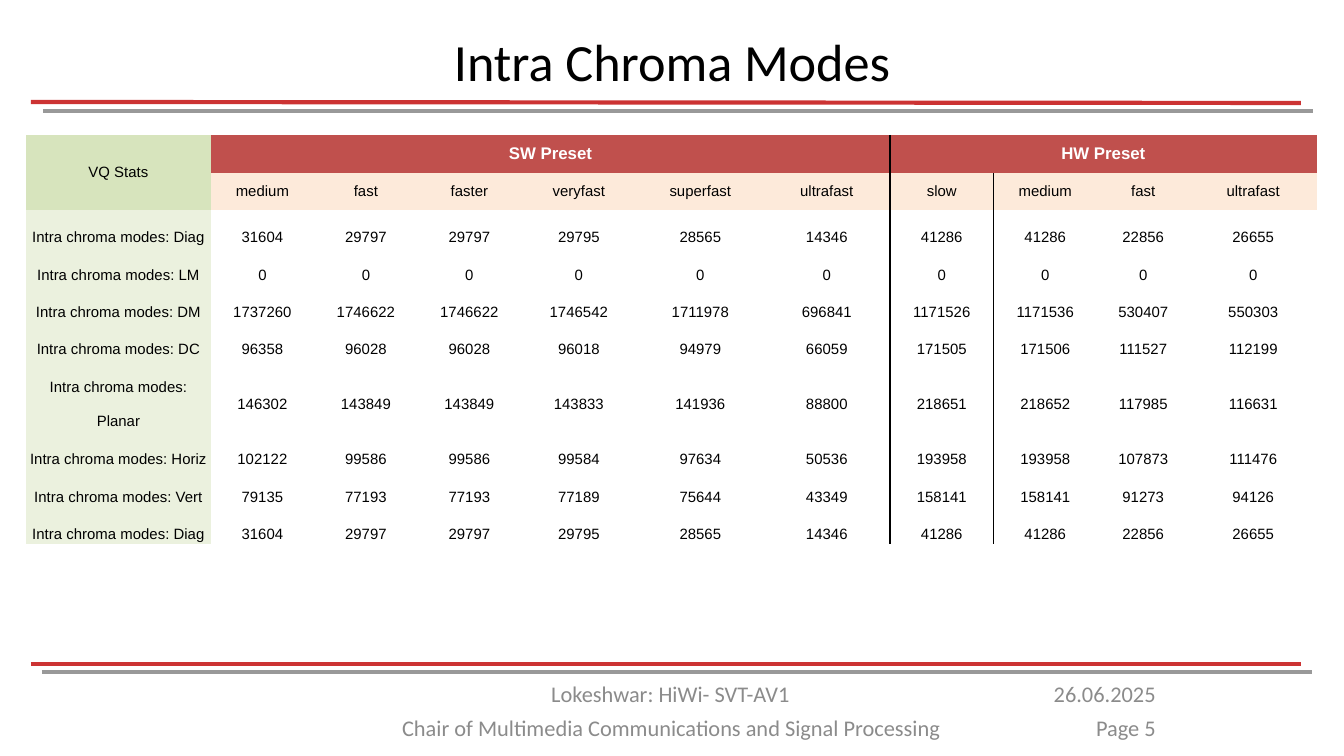
import dataclasses

import lxml.etree
import pptx
import pptx.dml.color
import pptx.enum.shapes
import pptx.enum.text
import pptx.oxml.ns
import pptx.util

EMU_PER_PX = 914400 / 134.4
ALIGN = pptx.enum.text.PP_ALIGN
ANCHOR = pptx.enum.text.MSO_ANCHOR
NO_STYLE_NO_GRID = "{2D5ABB26-0587-4C30-8999-92F81FD0307C}"


@dataclasses.dataclass(frozen=True)
class Theme:
    heading_font: str = "Calibri"
    table_font: str = "Arial"
    black: str = "000000"
    white: str = "FFFFFF"
    footer_gray: str = "8B8B8B"
    rule_red: str = "CC3333"
    rule_gray: str = "999999"
    corner_green: str = "D7E4BD"
    label_green: str = "EBF1DE"
    group_red: str = "C0504D"
    preset_peach: str = "FDEADA"
    title_size: int = 28
    footer_size: int = 12
    group_size: int = 9
    table_size: int = 8
    rule_width: float = 2.25
    group_border: float = 1
    slow_border: float = 0.5


THEME = Theme()

RULES = [
    (31, 102, 1301, 103, THEME.rule_red),
    (43, 111, 1313, 111, THEME.rule_gray),
    (31, 664, 1301, 664, THEME.rule_red),
    (42, 672, 1312, 672, THEME.rule_gray),
]
FOOTERS = [
    ("Chair of Multimedia Communications and Signal Processing", (349, 708, 645, 41), ALIGN.CENTER),
    ("Lokeshwar: HiWi- SVT-AV1", (348, 674, 645, 41), ALIGN.CENTER),
    ("26.06.2025", (1032, 674, 137, 41), ALIGN.RIGHT),
    ("Page 5", (1011, 708, 158, 67), ALIGN.RIGHT),
]
COLUMN_WIDTHS = [185, 103, 104, 103, 116, 127, 126, 104, 103, 93, 127]
ROW_HEIGHTS = [38, 37, 37, 38, 37, 37, 72, 38, 37, 37]
LAST_SW, FIRST_HW = 6, 7
PRESETS = ["medium", "fast", "faster", "veryfast", "superfast", "ultrafast",
           "slow", "medium", "fast", "ultrafast"]
DIAG = ("Diag", [31604, 29797, 29797, 29795, 28565, 14346, 41286, 41286, 22856, 26655])
MODES = [
    DIAG,
    ("LM", [0] * len(PRESETS)),
    ("DM", [1737260, 1746622, 1746622, 1746542, 1711978, 696841, 1171526, 1171536, 530407, 550303]),
    ("DC", [96358, 96028, 96028, 96018, 94979, 66059, 171505, 171506, 111527, 112199]),
    ("Planar", [146302, 143849, 143849, 143833, 141936, 88800, 218651, 218652, 117985, 116631]),
    ("Horiz", [102122, 99586, 99586, 99584, 97634, 50536, 193958, 193958, 107873, 111476]),
    ("Vert", [79135, 77193, 77193, 77189, 75644, 43349, 158141, 158141, 91273, 94126]),
    DIAG,
]


def px(length):
    """Turn whole pixels into EMU."""
    return pptx.util.Emu(round(length * EMU_PER_PX))


def rgb(code):
    """Return the colour for a hex code."""
    return pptx.dml.color.RGBColor.from_string(code)


def write_text(frame, text, *, font, size, color, bold=False, align=ALIGN.CENTER, spacing=None):
    """Write one formatted paragraph into a text frame."""
    paragraph = frame.paragraphs[0]
    paragraph.alignment = align
    if spacing:
        paragraph.line_spacing = spacing
    run = paragraph.add_run()
    run.text = text
    run.font.name = font
    run.font.size = pptx.util.Pt(size)
    run.font.bold = bold
    run.font.color.rgb = rgb(color)


def add_rule(slide, x1, y1, x2, y2, color):
    """Draw a straight rule without a shadow."""
    rule = slide.shapes.add_connector(
        pptx.enum.shapes.MSO_CONNECTOR.STRAIGHT, px(x1), px(y1), px(x2), px(y2))
    rule.line.color.rgb = rgb(color)
    rule.line.width = pptx.util.Pt(THEME.rule_width)
    lxml.etree.SubElement(rule._element.spPr, pptx.oxml.ns.qn("a:effectLst"))


def add_footer(slide, text, box, align):
    """Add one footer text at its box."""
    footer = slide.shapes.add_textbox(*map(px, box))
    footer.text_frame.word_wrap = True
    write_text(footer.text_frame, text, font=THEME.heading_font, size=THEME.footer_size,
               color=THEME.footer_gray, align=align)


def set_title(slide, text):
    """Move and fill the title placeholder."""
    title = slide.shapes.title
    title.left, title.top, title.width, title.height = map(px, (67, 19, 1210, 83))
    title.text_frame.auto_size = pptx.enum.text.MSO_AUTO_SIZE.NONE
    title.text_frame.vertical_anchor = ANCHOR.MIDDLE
    write_text(title.text_frame, text, font=THEME.heading_font, size=THEME.title_size,
               color=THEME.black)


def add_border(cell, side, width):
    """Give a cell a black border on its L or R side."""
    qn = pptx.oxml.ns.qn
    properties = cell._tc.get_or_add_tcPr()
    border = lxml.etree.Element(qn(f"a:ln{side}"), w=str(pptx.util.Pt(width)))
    ink = lxml.etree.SubElement(border, qn("a:solidFill"))
    lxml.etree.SubElement(ink, qn("a:srgbClr"), val=THEME.black)
    properties.insert(0, border)


def fill_cell(cell, text, *, fill=None, inset=1, bottom=0, anchor=ANCHOR.MIDDLE,
              size=THEME.table_size, color=THEME.black, bold=False, spacing=None):
    """Write and colour one table cell."""
    cell.margin_left = cell.margin_right = cell.margin_top = px(inset)
    cell.margin_bottom = px(bottom)
    cell.vertical_anchor = anchor
    if fill:
        cell.fill.solid()
        cell.fill.fore_color.rgb = rgb(fill)
    else:
        cell.fill.background()
    write_text(cell.text_frame, text, font=THEME.table_font, size=size, color=color,
               bold=bold, spacing=spacing)


def add_mode_table(slide):
    """Build the table of chroma mode counts per preset."""
    frame = slide.shapes.add_table(
        len(ROW_HEIGHTS), len(COLUMN_WIDTHS), px(26), px(135),
        px(sum(COLUMN_WIDTHS)), px(sum(ROW_HEIGHTS)))
    table = frame.table
    table.first_row = table.horz_banding = False
    table._tbl.tblPr.find(pptx.oxml.ns.qn("a:tableStyleId")).text = NO_STYLE_NO_GRID
    for column, width in zip(table.columns, COLUMN_WIDTHS):
        column.width = px(width)
    for row, height in zip(table.rows, ROW_HEIGHTS):
        row.height = px(height)

    table.cell(0, 0).merge(table.cell(1, 0))
    fill_cell(table.cell(0, 0), "VQ Stats", fill=THEME.corner_green, inset=9, bottom=9)
    last = len(COLUMN_WIDTHS) - 1
    for text, start, end in [("SW Preset", 1, LAST_SW), ("HW Preset", FIRST_HW, last)]:
        table.cell(0, start).merge(table.cell(0, end))
        fill_cell(table.cell(0, start), text, fill=THEME.group_red, inset=9, bottom=9,
                  anchor=ANCHOR.TOP, size=THEME.group_size, color=THEME.white, bold=True)
    for index, preset in enumerate(PRESETS, 1):
        fill_cell(table.cell(1, index), preset, fill=THEME.preset_peach, inset=9, bottom=9)
    for row, (mode, counts) in enumerate(MODES, 2):
        fill_cell(table.cell(row, 0), f"Intra chroma modes: {mode}",
                  fill=THEME.label_green, spacing=2.0)
        for index, count in enumerate(counts, 1):
            fill_cell(table.cell(row, index), str(count), spacing=2.0)

    for row in range(len(ROW_HEIGHTS)):
        add_border(table.cell(row, LAST_SW), "R", THEME.group_border)
        if row > 0:
            add_border(table.cell(row, FIRST_HW), "R", THEME.slow_border)
        add_border(table.cell(row, FIRST_HW), "L", THEME.group_border)


def main():
    """Build and save the slide."""
    presentation = pptx.Presentation()
    presentation.slide_width, presentation.slide_height = px(1344), px(756)
    slide = presentation.slides.add_slide(presentation.slide_layouts[5])
    for rule in RULES:
        add_rule(slide, *rule)
    for footer in FOOTERS:
        add_footer(slide, *footer)
    set_title(slide, "Intra Chroma Modes")
    add_mode_table(slide)
    presentation.save("out.pptx")


if __name__ == "__main__":
    main()
